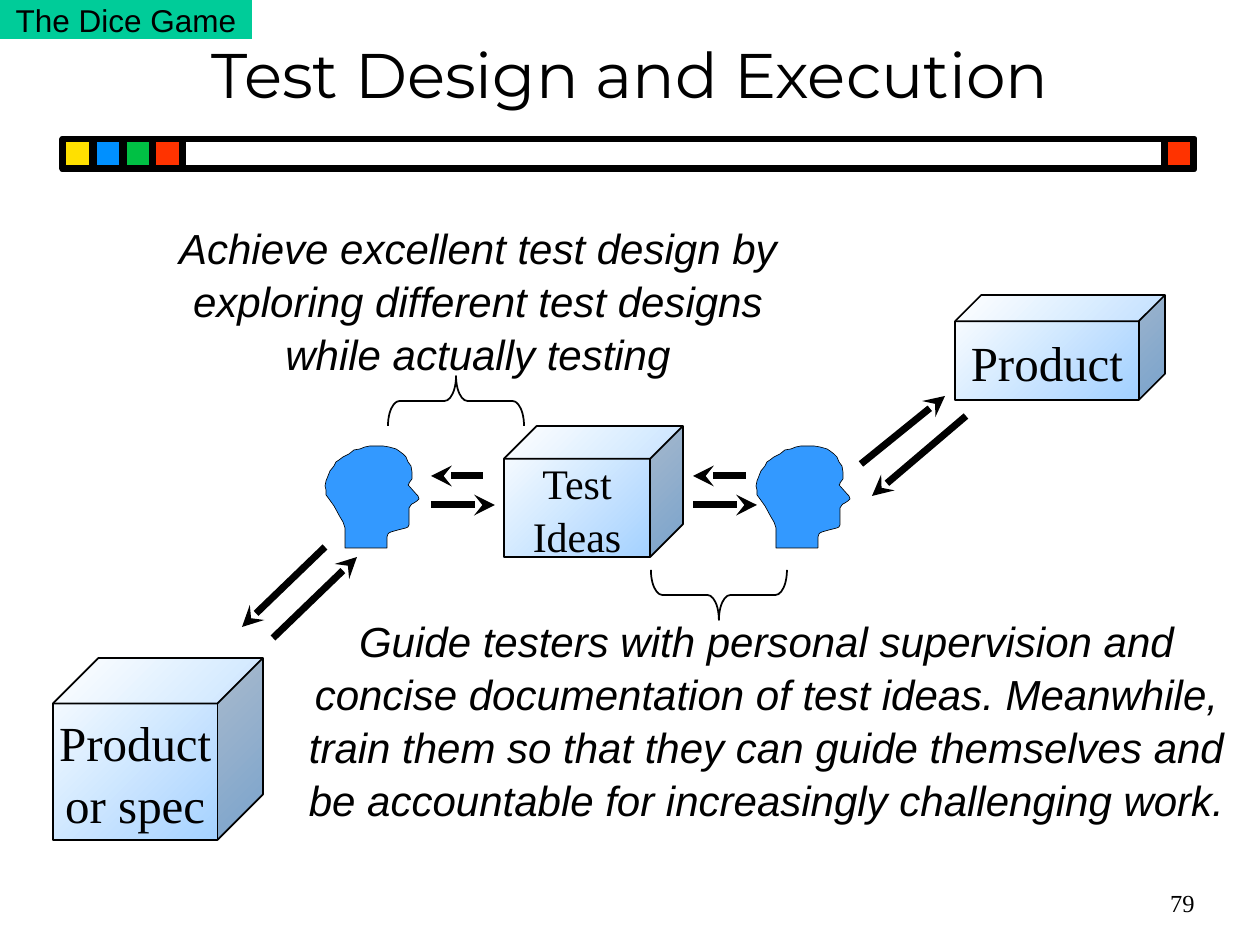
import pptx
import pptx.dml.color
import pptx.enum.shapes
import pptx.enum.text
import pptx.oxml.ns
import pptx.util
import lxml.etree

RGBColor = pptx.dml.color.RGBColor
SHAPE = pptx.enum.shapes.MSO_SHAPE
ALIGN = pptx.enum.text.PP_ALIGN
ANCHOR = pptx.enum.text.MSO_ANCHOR
qn = pptx.oxml.ns.qn

BLACK = RGBColor(0x00, 0x00, 0x00)
WHITE = RGBColor(0xFF, 0xFF, 0xFF)
YELLOW = RGBColor(0xFF, 0xE0, 0x00)
BLUE = RGBColor(0x00, 0x90, 0xFF)
GREEN = RGBColor(0x00, 0xC0, 0x44)
RED = RGBColor(0xFF, 0x33, 0x00)
TEAL = RGBColor(0x00, 0xCC, 0x99)
HEAD_BLUE = RGBColor(0x33, 0x99, 0xFF)
CUBE_BLUE = RGBColor(0x99, 0xCC, 0xFF)

SANS, SERIF, TITLE_FONT = "Arial", "Times New Roman", "Montserrat"
EMU_PER_PX = 914400 / 126
SQUARE = 30

# Head in profile facing right, from the front of the neck round to its back
HEAD_OUTLINE = [
    (62, 102), (62, 93), (62, 91), (63, 88), (64, 87), (66, 86), (73, 84),
    (77, 83), (81, 82), (83, 81), (84, 79), (84, 76), (84, 73), (84, 68),
    (84, 64), (84, 62), (86, 59), (87, 58), (89, 57), (92, 55), (93, 54),
    (94, 53), (93, 50), (92, 49), (84, 40), (83, 39), (84, 38), (84, 37),
    (87, 33), (87, 30), (87, 26), (86, 20), (83, 16), (81, 11), (78, 8),
    (74, 5), (71, 3), (64, 1), (58, 0), (52, 0), (45, 0), (40, 1), (35, 3),
    (29, 4), (24, 8), (18, 11), (14, 14), (11, 16), (9, 20), (5, 25),
    (3, 30), (1, 35), (0, 40), (1, 44), (1, 49), (4, 53), (9, 60), (15, 71),
    (18, 76), (19, 79), (20, 82), (20, 84), (20, 87), (20, 92), (20, 102),
]


def px(*lengths):
    return [pptx.util.Emu(round(length * EMU_PER_PX)) for length in lengths]


class SlideBuilder:
    def __init__(self, slide):
        self.slide = slide
        self.shapes = slide.shapes

    def set_text(self, shape, paragraphs, size, font, align=ALIGN.CENTER,
                 anchor=ANCHOR.MIDDLE, wrap=True, italic=False, spacing=1.05):
        """Fill a shape with paragraphs; a newline inside one is a line break."""
        frame = shape.text_frame
        frame.word_wrap = wrap
        frame.vertical_anchor = anchor
        for index, text in enumerate(paragraphs):
            para = frame.add_paragraph() if index else frame.paragraphs[0]
            para.text = text
            para.alignment = align
            para.line_spacing = spacing
            para.font.size = pptx.util.Pt(size)
            para.font.name = font
            para.font.italic = italic
            para.font.color.rgb = BLACK

    def paint(self, shape, fill, line_width):
        shape.shadow.inherit = False
        if fill is None:
            shape.fill.background()
        else:
            shape.fill.solid()
            shape.fill.fore_color.rgb = fill
        if line_width:
            shape.line.color.rgb = BLACK
            shape.line.width = pptx.util.Pt(line_width)
        else:
            shape.line.fill.background()

    def title(self, text, *place):
        title = self.shapes.title
        title.left, title.top, title.width, title.height = px(*place)
        self.set_text(title, [text], 36, TITLE_FONT, spacing=1.0)

    def text(self, text, *place, **style):
        box = self.shapes.add_textbox(*px(*place))
        self.set_text(box, [text], **style)

    def rectangle(self, *place, fill=None, line_width=4):
        box = self.shapes.add_shape(SHAPE.RECTANGLE, *px(*place))
        self.paint(box, fill, line_width)
        return box

    def cube(self, paragraphs, size, *place):
        cube = self.shapes.add_shape(SHAPE.CUBE, *px(*place))
        self.paint(cube, None, 1)
        cube.fill.gradient()
        cube.fill.gradient_angle = 135
        for stop, color in zip(cube.fill.gradient_stops, (CUBE_BLUE, WHITE)):
            stop.color.rgb = color
        self.set_text(cube, paragraphs, size, SERIF, wrap=False)

    def head(self, left, top):
        points = [(left + x, top + y) for x, y in HEAD_OUTLINE]
        outline = self.shapes.build_freeform(*points[0], scale=EMU_PER_PX)
        outline.add_line_segments(points[1:], close=True)
        self.paint(outline.convert_to_shape(), HEAD_BLUE, 0.37)

    def brace(self, rotation, *place):
        """Place a left brace, given unrotated, and turn it about its centre."""
        brace = self.shapes.add_shape(SHAPE.LEFT_BRACE, *px(*place))
        brace.adjustments[0] = 0.23
        brace.rotation = rotation
        self.paint(brace, None, 1)

    def arrow(self, *ends):
        arrow = self.shapes.add_connector(
            pptx.enum.shapes.MSO_CONNECTOR.STRAIGHT, *px(*ends))
        arrow.line.color.rgb = BLACK
        arrow.line.width = pptx.util.Pt(4)
        properties = arrow._element.spPr
        lxml.etree.SubElement(properties.get_or_add_ln(), qn("a:tailEnd"),
                              type="stealth")
        lxml.etree.SubElement(properties, qn("a:effectLst"))


def main():
    deck = pptx.Presentation()
    deck.slide_width, deck.slide_height = px(1260, 945)
    page = SlideBuilder(deck.slides.add_slide(deck.slide_layouts[5]))

    band_left, band_top, band_width = 63, 139, 1131
    page.rectangle(band_left, band_top, band_width, SQUARE)
    for index, color in enumerate((YELLOW, BLUE, GREEN, RED)):
        page.rectangle(band_left + index * SQUARE, band_top, SQUARE, SQUARE,
                       fill=color)
    page.rectangle(band_left + band_width - SQUARE, band_top, SQUARE, SQUARE,
                   fill=RED)

    page.title("Test Design and Execution", 0, 10, 1260, 126)
    tag = page.rectangle(0, 0, 252, 39, fill=TEAL, line_width=0)
    page.set_text(tag, ["The Dice Game"], 18, SANS, wrap=False)

    message = dict(size=24, font=SANS, italic=True, anchor=ANCHOR.TOP)
    page.text("Achieve excellent test design by exploring different test "
              "designs\nwhile actually testing", 147, 214, 662, 164, **message)
    page.text("Guide testers with personal supervision and concise "
              "documentation of test ideas. Meanwhile, train them so that "
              "they can guide themselves and be accountable for increasingly "
              "challenging work.", 294, 607, 945, 214, **message)

    page.cube(["Product\nor spec"], 28, 53, 658, 210, 182)
    page.cube(["Test", "Ideas"], 24, 504, 426, 179, 131)
    page.cube(["Product"], 28, 955, 295, 210, 105)
    for left in (325, 756):
        page.head(left, 446)
    page.brace(90, 431, 333, 50, 136)
    page.brace(270, 694, 527, 50, 136)

    for ends in (
        (273, 638, 357, 557), (325, 547, 242, 627),
        (431, 505, 495, 505), (483, 476, 431, 476),
        (693, 505, 757, 505), (746, 476, 693, 476),
        (861, 464, 945, 396), (966, 416, 872, 496),
    ):
        page.arrow(*ends)

    page.text("79", 945, 871, 262, 63, size=14, font=SERIF, align=ALIGN.RIGHT)
    deck.save("out.pptx")


if __name__ == "__main__":
    main()
